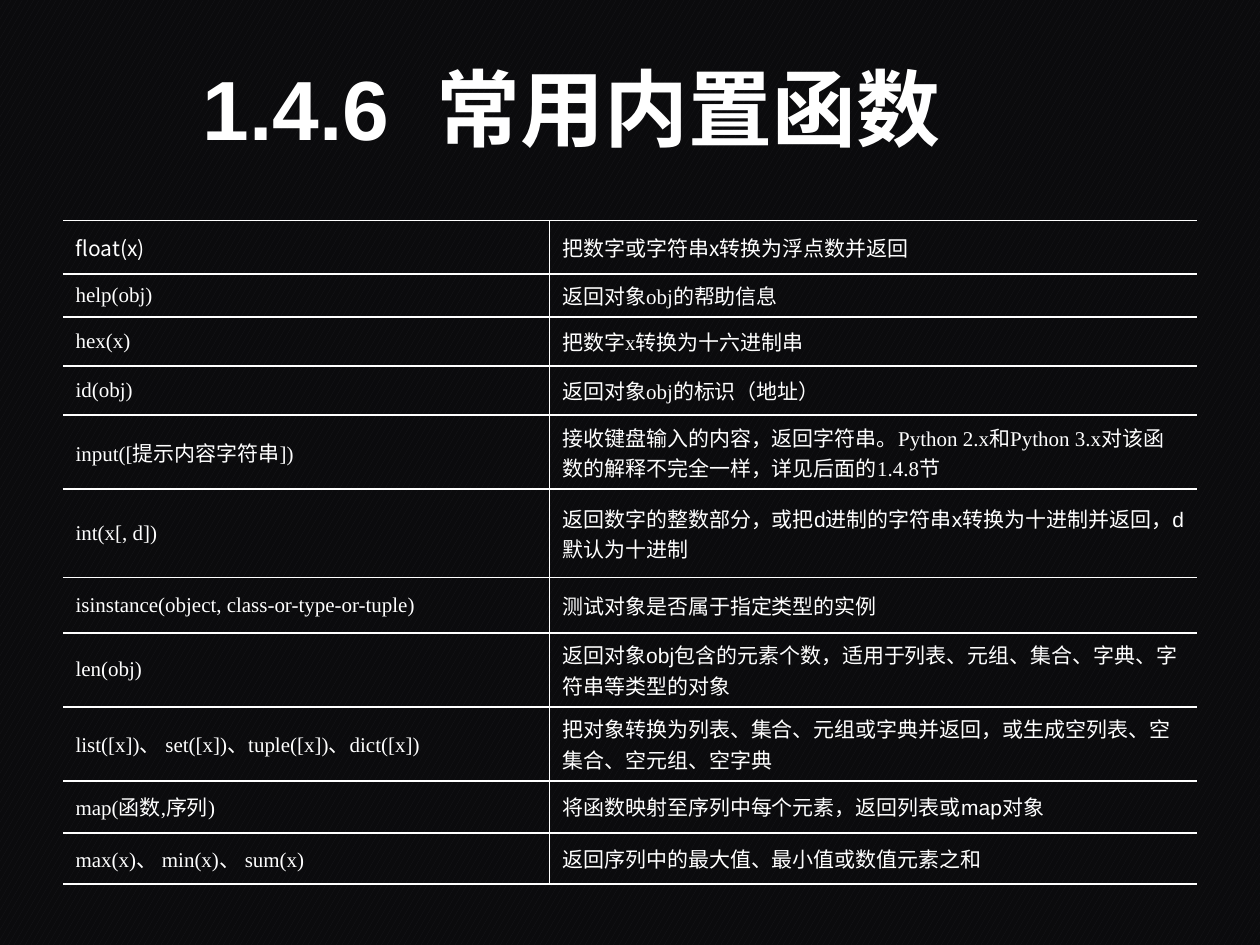
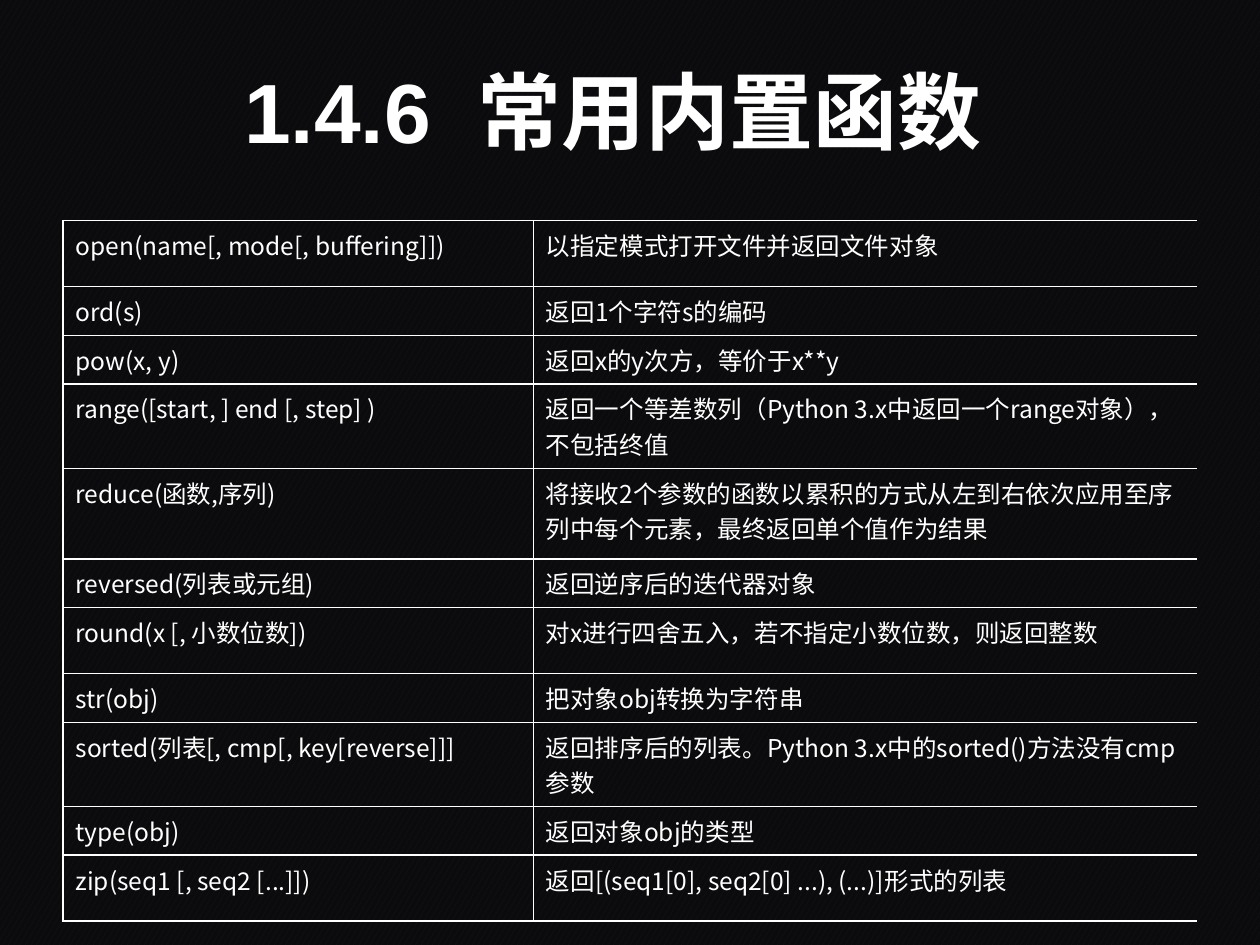
from lxml.etree import SubElement
from pptx import Presentation
from pptx.dml.color import RGBColor
from pptx.enum.dml import MSO_PATTERN
from pptx.enum.text import MSO_ANCHOR, PP_ALIGN
from pptx.oxml.ns import qn
from pptx.util import Cm, Pt

WHITE = "FFFFFF"
BACKGROUND = "0B0B0D"
CONFETTI = "19191D"
NOTO, TIMES, ARIAL = "Noto Sans CJK SC", "Times New Roman", "Arial"
TITLE = "1.4.6  常用内置函数"
TABLE_LEFT, TABLE_TOP, TABLE_WIDTH = 1.27, 4.45, 22.86

# Each row: height in cm, call, font of the call, description, its font
FLOAT_TO_SUM = [
    (1.07, "float(x)", NOTO, "把数字或字符串x转换为浮点数并返回", NOTO),
    (0.87, "help(obj)", TIMES, "返回对象obj的帮助信息", TIMES),
    (0.99, "hex(x)", TIMES, "把数字x转换为十六进制串", TIMES),
    (0.99, "id(obj)", TIMES, "返回对象obj的标识（地址）", TIMES),
    (1.49, "input([提示内容字符串])", TIMES,
     "接收键盘输入的内容，返回字符串。Python 2.x和Python 3.x对该函数的解释不完全一样，"
     "详见后面的1.4.8节", TIMES),
    (1.78, "int(x[, d])", TIMES,
     "返回数字的整数部分，或把d进制的字符串x转换为十进制并返回，d默认为十进制", ARIAL),
    (1.12, "isinstance(object, class-or-type-or-tuple)", TIMES,
     "测试对象是否属于指定类型的实例", ARIAL),
    (1.49, "len(obj)", TIMES,
     "返回对象obj包含的元素个数，适用于列表、元组、集合、字典、字符串等类型的对象", ARIAL),
    (1.49, "list([x])、 set([x])、tuple([x])、dict([x])", TIMES,
     "把对象转换为列表、集合、元组或字典并返回，或生成空列表、空集合、空元组、空字典", ARIAL),
    (1.05, "map(函数,序列)", TIMES, "将函数映射至序列中每个元素，返回列表或map对象", ARIAL),
    (1.03, "max(x)、 min(x)、 sum(x)", TIMES, "返回序列中的最大值、最小值或数值元素之和", ARIAL),
]

OPEN_TO_ZIP = [(height, call, NOTO, description, NOTO) for height, call, description in [
    (1.33, "open(name[, mode[, buffering]])", "以指定模式打开文件并返回文件对象"),
    (0.98, "ord(s)", "返回1个字符s的编码"),
    (0.98, "pow(x, y)", "返回x的y次方，等价于x**y"),
    (1.7, "range([start, ] end [, step] )",
     "返回一个等差数列（Python 3.x中返回一个range对象），不包括终值"),
    (1.83, "reduce(函数,序列)",
     "将接收2个参数的函数以累积的方式从左到右依次应用至序列中每个元素，最终返回单个值作为结果"),
    (0.98, "reversed(列表或元组)", "返回逆序后的迭代器对象"),
    (1.33, "round(x [, 小数位数])", "对x进行四舍五入，若不指定小数位数，则返回整数"),
    (0.98, "str(obj)", "把对象obj转换为字符串"),
    (1.7, "sorted(列表[, cmp[, key[reverse]]]",
     "返回排序后的列表。Python 3.x中的sorted()方法没有cmp参数"),
    (0.98, "type(obj)", "返回对象obj的类型"),
    (1.33, "zip(seq1 [, seq2 [...]])", "返回[(seq1[0], seq2[0] ...), (...)]形式的列表"),
]]


def color(hex_code):
    """Turn a hex string into a colour."""
    return RGBColor.from_string(hex_code)


def add_run(paragraph, text, size, font, bold=False):
    """Add one white run with Latin and East Asian fonts."""
    run = paragraph.add_run()
    run.text = text
    run.font.size = Pt(size)
    run.font.bold = bold
    run.font.name = font
    run.font.color.rgb = color(WHITE)
    SubElement(run.font._element, qn("a:ea"), typeface=NOTO)


def space_before(paragraph, percent):
    """Set the space before a paragraph as a share of its line."""
    spacing = SubElement(paragraph._p.get_or_add_pPr(), qn("a:spcBef"))
    SubElement(spacing, qn("a:spcPct"), val=str(percent * 1000))


def set_borders(cell, sides):
    """Draw 1 pt white lines on the named sides and none on the others."""
    properties = cell._tc.get_or_add_tcPr()
    for side in "LRTB":
        line = SubElement(properties, qn("a:ln" + side), w=str(Pt(1)))
        if side in sides:
            fill = SubElement(line, qn("a:solidFill"))
            SubElement(fill, qn("a:srgbClr"), val=WHITE)
        else:
            SubElement(line, qn("a:noFill"))


def add_slide(deck):
    """Add a blank slide with the dark confetti background."""
    slide = deck.slides.add_slide(deck.slide_layouts[6])
    fill = slide.background.fill
    fill.patterned()
    fill.pattern = MSO_PATTERN.LARGE_CONFETTI
    fill.fore_color.rgb = color(CONFETTI)
    fill.back_color.rgb = color(BACKGROUND)
    return slide


def add_title(slide, left, top, height):
    """Add the centred section title."""
    frame = slide.shapes.add_textbox(Cm(left), Cm(top), Cm(19.05), Cm(height)).text_frame
    frame.word_wrap = True
    frame.vertical_anchor = MSO_ANCHOR.MIDDLE
    heading = frame.paragraphs[0]
    heading.alignment = PP_ALIGN.CENTER
    add_run(heading, TITLE, 48, ARIAL, bold=True)


def add_function_table(slide, rows, call_width, size, anchor, call_sides, spacing=0):
    """Add the table of function calls and their descriptions."""
    total = sum(row[0] for row in rows)
    table = slide.shapes.add_table(len(rows), 2, Cm(TABLE_LEFT), Cm(TABLE_TOP),
                                   Cm(TABLE_WIDTH), Cm(total)).table
    table.first_row = table.horz_banding = False
    table.columns[0].width = Cm(call_width)
    table.columns[1].width = Cm(TABLE_WIDTH - call_width)
    for index, (height, call, call_font, description, description_font) in enumerate(rows):
        table.rows[index].height = Cm(height)
        contents = [(call, call_font, call_sides), (description, description_font, "LTB")]
        for column, (text, font, sides) in enumerate(contents):
            cell = table.cell(index, column)
            cell.vertical_anchor = anchor
            set_borders(cell, sides)
            cell.fill.background()
            paragraph = cell.text_frame.paragraphs[0]
            if spacing:
                space_before(paragraph, spacing)
            add_run(paragraph, text, size, font)


def main():
    """Build both slides and save the deck."""
    deck = Presentation()
    deck.slide_width, deck.slide_height = Cm(25.4), Cm(19.05)

    slide = add_slide(deck)
    add_function_table(slide, FLOAT_TO_SUM, 9.81, 12, MSO_ANCHOR.MIDDLE, "RTB")
    add_title(slide, 2, 0.01, 4.29)

    slide = add_slide(deck)
    add_function_table(slide, OPEN_TO_ZIP, 9.48, 14, MSO_ANCHOR.TOP, "LRTB", spacing=20)
    add_title(slide, 2.83, 0.13, 4.19)

    deck.save("out.pptx")


main()
